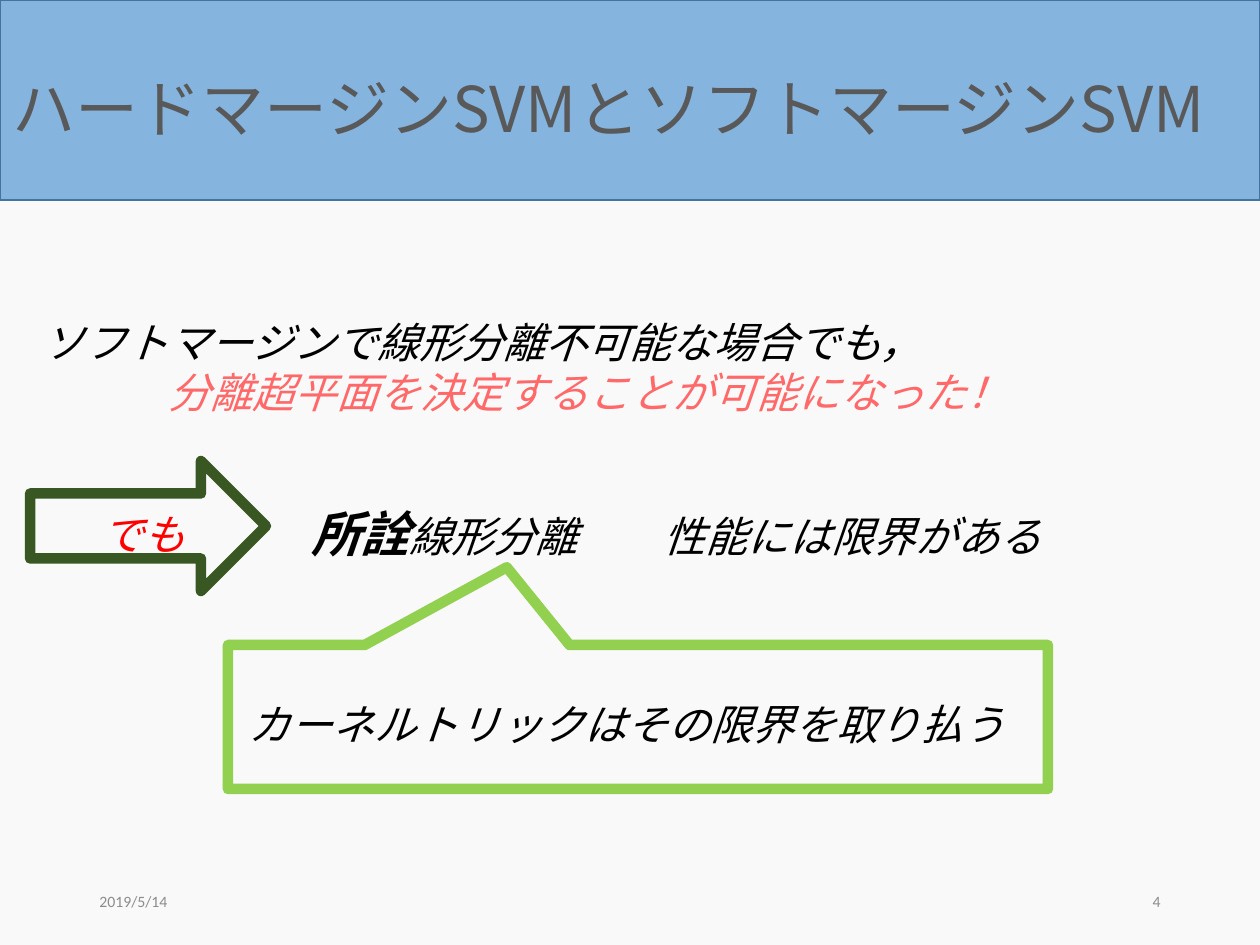
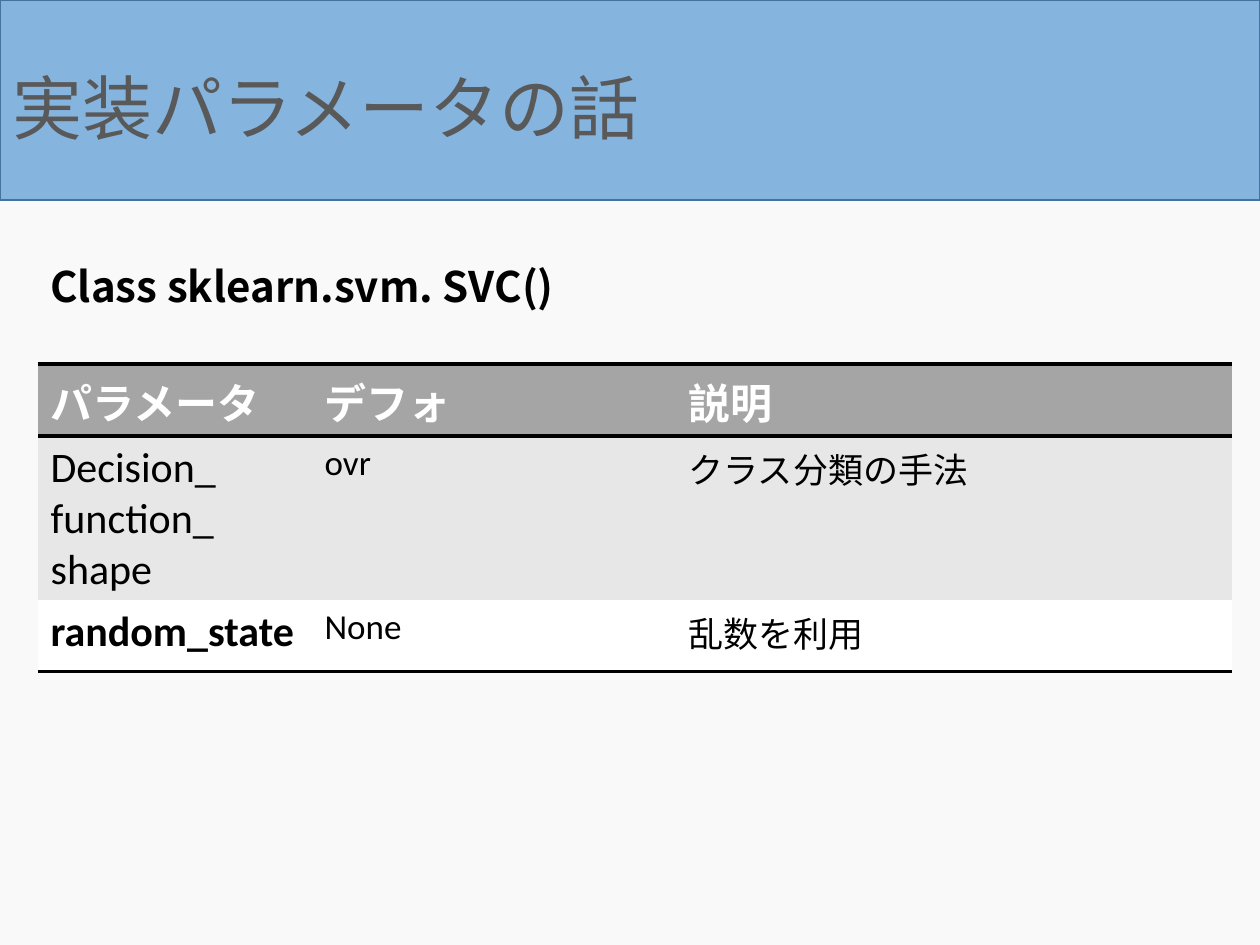
from lxml import etree
from pptx import Presentation
from pptx import util as u
from pptx.dml.color import RGBColor
from pptx.enum import shapes, text
from pptx.oxml import ns

PX_PER_INCH = 126
PAGE_W, PAGE_H = 1260, 945
BAND = (0, 0, PAGE_W, 200)
CJK, LATIN = "Noto Sans CJK JP", "Calibri"
LEADING = 1.2

BACKGROUND = RGBColor(0xF9, 0xF9, 0xF9)
BAND_FILL = RGBColor(0x85, 0xB4, 0xDF)
BAND_LINE = RGBColor(0x43, 0x73, 0x9E)
TITLE_GREY = RGBColor(0x59, 0x59, 0x59)
FOOTER_GREY = RGBColor(0x8C, 0x8C, 0x8C)
BLACK = RGBColor(0x00, 0x00, 0x00)
WHITE = RGBColor(0xFF, 0xFF, 0xFF)
RED = RGBColor(0xFF, 0x00, 0x00)
CORAL = RGBColor(0xFF, 0x69, 0x69)
ARROW_GREEN = RGBColor(0x38, 0x57, 0x23)
CALLOUT_GREEN = RGBColor(0x92, 0xD0, 0x50)
HEADER_GREY = RGBColor(0xA5, 0xA5, 0xA5)
ROW_GREY = RGBColor(0xE7, 0xE7, 0xE7)

ITALIC = {"size": 24, "italic": True}


def px(length):
    """Turn whole pixels into EMU."""
    return u.Emu(round(length * u.Inches(1) / PX_PER_INCH))


def add_span(para, words, size=24, color=BLACK, name=CJK, **formats):
    """Append a run with its font, for Latin and Japanese letters alike."""
    span = para.add_run()
    span.text = words
    span.font.color.rgb = color
    for key, value in {"size": u.Pt(size), "name": name, **formats}.items():
        setattr(span.font, key, value)
    east_asian = etree.SubElement(span.font._element, ns.qn("a:ea"))
    east_asian.set("typeface", CJK)


def fill_frame(frame, paragraphs, leading=None, align=None, **formats):
    """Write paragraphs, each a list of (words, formats) spans."""
    for key, value in {"word_wrap": True, **formats}.items():
        setattr(frame, key, value)
    for index, spans in enumerate(paragraphs):
        para = frame.add_paragraph() if index else frame.paragraphs[0]
        para.alignment = align or text.PP_ALIGN.LEFT
        if leading:
            para.line_spacing = u.Pt(leading)
        for words, style in spans:
            add_span(para, words, **style)


def add_text(page, box, *paragraphs, **formats):
    """Place a wrapping text box and return its frame."""
    frame = page.shapes.add_textbox(*map(px, box)).text_frame
    fill_frame(frame, paragraphs, **formats)
    return frame


def add_body(page, box, *paragraphs):
    """Place body text with even leading below a slightly deeper top inset."""
    size = max(style["size"] for spans in paragraphs for _, style in spans)
    return add_text(page, box, *paragraphs, leading=size * LEADING, margin_top=px(10))


def add_outline(page, kind, box, color, width, fill=None):
    """Place a preset shape with a coloured outline."""
    shape = page.shapes.add_shape(kind, *map(px, box))
    shape.shadow.inherit = False
    if fill is None:
        shape.fill.background()
    else:
        shape.fill.solid()
        shape.fill.fore_color.rgb = fill
    shape.line.color.rgb = color
    shape.line.width = u.Pt(width)
    return shape


def add_page(deck, title, size):
    """Add a blank page with the background and the title band."""
    page = deck.slides.add_slide(deck.slide_layouts[6])
    page.background.fill.solid()
    page.background.fill.fore_color.rgb = BACKGROUND
    band = add_outline(page, shapes.MSO_SHAPE.RECTANGLE, BAND, BAND_LINE, 1, BAND_FILL)
    fill_frame(band.text_frame, [[(title, {"size": size, "color": TITLE_GREY})]],
               leading=size * LEADING, margin_top=px(20),
               vertical_anchor=text.MSO_ANCHOR.MIDDLE)
    return page


def add_footer(page, date, number):
    """Place the date at the left and the page number at the right."""
    style = {"size": 9, "color": FOOTER_GREY, "name": LATIN}
    entries = ((87, date, text.PP_ALIGN.LEFT), (890, number, text.PP_ALIGN.RIGHT))
    for left, words, align in entries:
        add_text(page, (left, 876, 283, 50), [(words, style)], align=align,
                 vertical_anchor=text.MSO_ANCHOR.MIDDLE)


def add_conclusion(page, box):
    """State what the soft margin made possible, second line indented."""
    frame = add_body(
        page, box,
        [("ソフトマージンで線形分離不可能な場合でも，", ITALIC)],
        [("分離超平面を決定することが可能になった！", {**ITALIC, "color": CORAL})])
    frame.paragraphs[1]._p.get_or_add_pPr().set("marL", str(px(126)))


def add_limit(page, box):
    """Point with an arrow to the limit of linear separation."""
    left, top, width, height = box
    add_outline(page, shapes.MSO_SHAPE.RIGHT_ARROW, (left, top, 236, height), ARROW_GREEN, 6)
    add_body(page, (left + 59, top + 38, 117, 63), [("でも", {**ITALIC, "color": RED})])
    frame = add_body(
        page, (left + 269, top + 33, width - 269, 72),
        [("所詮", {"size": 28, "bold": True, "italic": True}),
         ("線形分離\t性能には限界がある", ITALIC)])
    stops = etree.SubElement(frame.paragraphs[0]._p.get_or_add_pPr(), ns.qn("a:tabLst"))
    etree.SubElement(stops, ns.qn("a:tab"), pos=str(px(352)), algn="l")


def add_kernel_callout(page, box):
    """Place the callout about the kernel trick."""
    left, top, width, height = box
    callout = add_outline(page, shapes.MSO_SHAPE.RECTANGULAR_CALLOUT, box, CALLOUT_GREEN, 6)
    callout.adjustments[0] = -0.16
    callout.adjustments[1] = -1.04
    add_body(page, (left + 8, top + 44, width, 63),
             [("カーネルトリックはその限界を取り払う", ITALIC)])


def set_borders(cell, ruled):
    """Rule the named sides of a cell in black and clear the others."""
    properties = cell._tc.get_or_add_tcPr()
    for index, side in enumerate("LRTB"):
        line = etree.Element(ns.qn(f"a:ln{side}"))
        if side in ruled:
            line.set("w", str(u.Pt(2)))
            fill = etree.SubElement(line, ns.qn("a:solidFill"))
            etree.SubElement(fill, ns.qn("a:srgbClr"), val=str(BLACK))
        else:
            etree.SubElement(line, ns.qn("a:noFill"))
        properties.insert(index, line)


def add_parameter_table(page, box):
    """Place the table of class parameters."""
    header = {"name": LATIN, "color": WHITE, "bold": True}
    name, default = {"name": LATIN}, {"name": LATIN, "size": 20}
    meaning = {"size": 20}
    rows = (
        (72, HEADER_GREY, "TB", (header,) * 3, ("パラメータ", "デフォ", "説明")),
        (164, ROW_GREY, "T", (name, default, meaning),
         ("Decision_\nfunction_\nshape", "ovr", "クラス分類の手法")),
        (72, WHITE, "B", ({**name, "bold": True}, default, meaning),
         ("random_state", "None", "乱数を利用")),
    )
    table = page.shapes.add_table(len(rows), 3, *map(px, box)).table
    table.first_row = table.horz_banding = False
    for column, width in zip(table.columns, (274, 364, 556)):
        column.width = px(width)
    for row, (height, fill, ruled, styles, entries) in zip(table.rows, rows):
        row.height = px(height)
        for cell, style, words in zip(row.cells, styles, entries):
            cell.fill.solid()
            cell.fill.fore_color.rgb = fill
            set_borders(cell, ruled)
            fill_frame(cell.text_frame, [[(line, style)] for line in words.split("\n")])


def build_margin_page(deck):
    """Build the page on hard and soft margins."""
    page = add_page(deck, "ハードマージンSVMとソフトマージンSVM", 36)
    add_footer(page, "2019/5/14", "4")
    add_conclusion(page, (30, 306, 1230, 115))
    add_limit(page, (30, 461, 1056, 130))
    add_kernel_callout(page, (228, 645, 820, 144))


def build_parameter_page(deck):
    """Build the page on implementation parameters."""
    page = add_page(deck, "実装パラメータの話", 40)
    add_body(page, (38, 251, 1222, 63),
             [("Class sklearn.svm. SVC()", {"size": 24, "bold": True})])
    add_parameter_table(page, (38, 364, 1194, 308))


def main():
    """Build and save the deck."""
    deck = Presentation()
    deck.slide_width, deck.slide_height = px(PAGE_W), px(PAGE_H)
    build_margin_page(deck)
    build_parameter_page(deck)
    deck.save("out.pptx")


if __name__ == "__main__":
    main()
